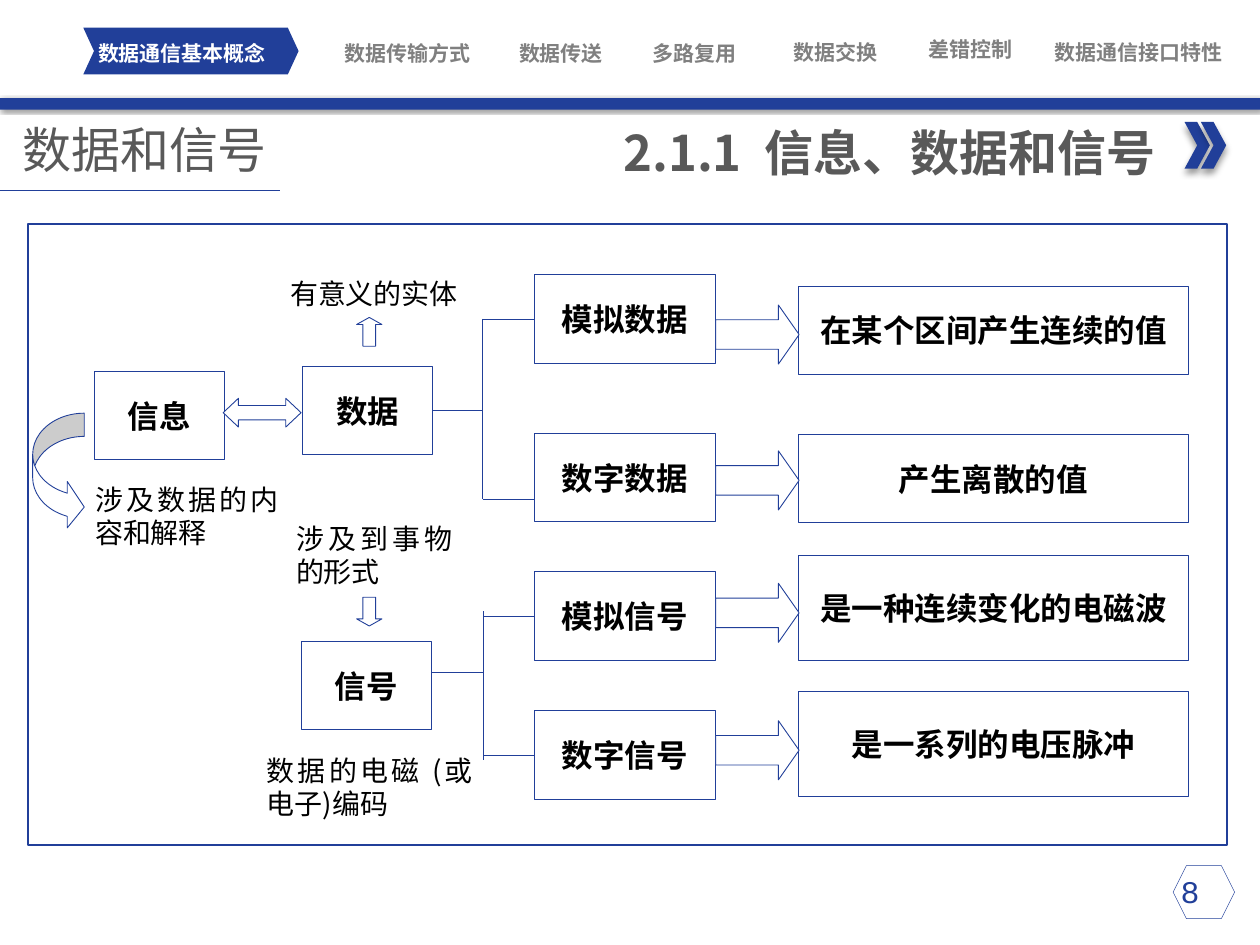
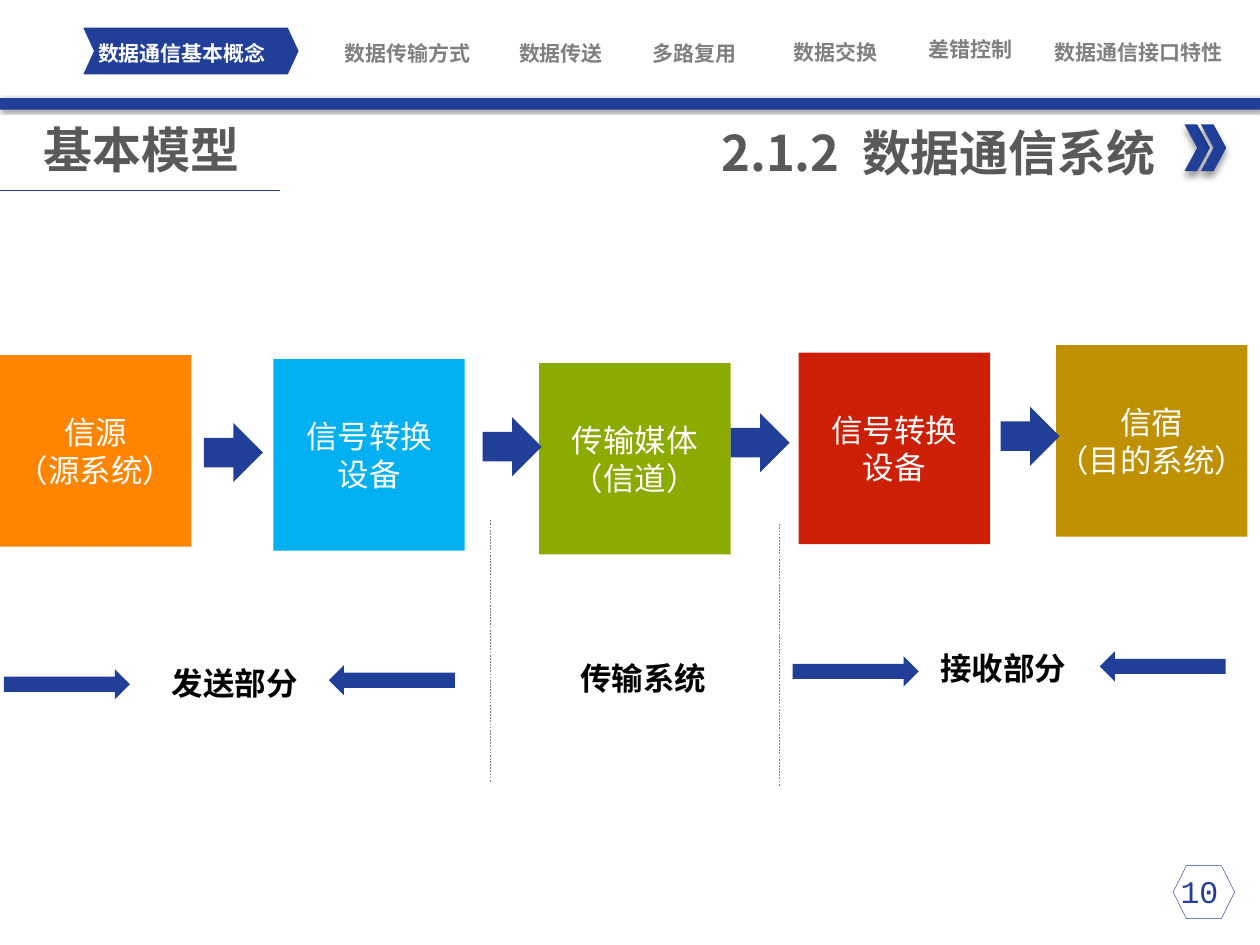
from lxml import etree
from pptx import Presentation
from pptx.dml.color import RGBColor
from pptx.enum import dml, shapes as sh, text as tx
from pptx.oxml.ns import qn
from pptx.util import Cm, Pt

BLUE = RGBColor(0x21, 0x3F, 0x99)
DARK = RGBColor(0x59, 0x59, 0x59)
GREY = RGBColor(0x80, 0x80, 0x80)
BLACK = RGBColor(0, 0, 0)
WHITE = RGBColor(0xFF, 0xFF, 0xFF)
ORANGE = RGBColor(0xFF, 0x85, 0x00)
SKY = RGBColor(0x00, 0xB0, 0xF0)
GREEN = RGBColor(0x8B, 0xAB, 0x00)
RED = RGBColor(0xCD, 0x1F, 0x06)
GOLD = RGBColor(0xBF, 0x90, 0x00)
CJK, NAV_FONT, NUMBER_FONT = "Noto Sans CJK SC", "Roboto Condensed", "Courier New"

AUTO = sh.MSO_SHAPE
LEFT, CENTER, RIGHT, JUSTIFY = (tx.PP_ALIGN.LEFT, tx.PP_ALIGN.CENTER,
                                tx.PP_ALIGN.RIGHT, tx.PP_ALIGN.JUSTIFY)

# All positions and sizes are in centimetres.
NAV = [  # label, left, top, width
    ("数据通信基本概念", 1.83, 0.81, 3.68),
    ("数据传输方式", 6.38, 0.81, 3.68),
    ("数据传送", 9.47, 0.81, 3.68),
    ("多路复用", 12.17, 0.81, 3.68),
    ("数据交换", 15.01, 0.79, 3.68),
    ("差错控制", 17.73, 0.74, 3.68),
    ("数据通信接口特性", 20.52, 0.79, 4.88),
]

ROOTS = {"信息": (1.9, 7.49), "数据": (6.1, 7.39), "信号": (6.07, 12.93)}
KINDS = [  # name, top, arrow top, meaning, meaning top, meaning height
    ("模拟数据", 5.54, 6.15, "在某个区间产生连续的值", 5.77, 1.78),
    ("数字数据", 8.74, 9.09, "产生离散的值", 8.76, 1.78),
    ("模拟信号", 11.53, 11.76, "是一种连续变化的电磁波", 11.2, 2.11),
    ("数字信号", 14.33, 14.53, "是一系列的电压脉冲", 13.94, 2.11),
]
FORKS = [  # root, root line height, trunk x, {kind: branch height}
    ("数据", 8.28, 9.73, {"模拟数据": 6.43, "数字数据": 10.06}),
    ("信号", 13.56, 9.75, {"模拟信号": 12.32, "数字信号": 15.32}),
]
NOTES = [
    ("有意义的实体", 5.6, 5.03, 4.6, 1.78),
    ("涉及数据的内容和解释", 1.67, 8.92, 4.19, 2.95),
    ("涉及到事物的形式", 5.72, 10.08, 3.66, 2.21),
    ("数据的电磁 (或电子)编码", 5.13, 14.76, 4.65, 2.21),
]
HOLLOW_ARROWS = [
    (AUTO.LEFT_RIGHT_ARROW, 4.5, 8.03, 1.57, 0.58, (0.5, 0.53)),
    (AUTO.UP_ARROW, 7.19, 6.4, 0.51, 0.58, (0.5, 0.28)),
    (AUTO.DOWN_ARROW, 7.19, 12.04, 0.51, 0.58, (0.5, 0.28)),
    (AUTO.CURVED_RIGHT_ARROW, 0.66, 8.33, 1.04, 2.36, (0.45, 0.9, 0.33)),
]

STAGES = [  # text, colour, left, top
    ("信源\n（源系统）", ORANGE, 0, 7.16),
    ("信号转换\n设备", SKY, 5.51, 7.24),
    ("传输媒体\n（信道）", GREEN, 10.87, 7.32),
    ("信号转换\n设备", RED, 16.1, 7.11),
    ("信宿\n（目的系统）", GOLD, 21.29, 6.96),
]
STAGE_ARROWS = [(4.11, 8.53), (9.73, 8.41), (14.73, 8.33), (20.17, 8.2)]
DIVIDERS = [(9.88, 10.49), (15.7, 10.57)]
PARTS = [("发送部分", 3.2, 13.26), ("传输系统", 11.43, 13.16), ("接收部分", 18.69, 12.95)]
PART_ARROWS = [
    (AUTO.RIGHT_ARROW, 0.08, 13.49), (AUTO.LEFT_ARROW, 6.63, 13.41),
    (AUTO.RIGHT_ARROW, 15.98, 13.23), (AUTO.LEFT_ARROW, 22.17, 13.13),
]


def write(sp, content, size, color, bold=False, align=CENTER, font=CJK, margin=None,
          anchor=tx.MSO_ANCHOR.MIDDLE):
    tf = sp.text_frame
    tf.text = content
    tf.word_wrap = True
    tf.auto_size = tx.MSO_AUTO_SIZE.NONE
    tf.vertical_anchor = anchor
    if margin is not None:
        tf.margin_left = tf.margin_right = tf.margin_top = tf.margin_bottom = Cm(margin)
    for p in tf.paragraphs:
        p.alignment = align
        p.line_spacing = Pt(size * 1.2)
        for r in p.runs:
            f = r.font
            f.name, f.size, f.bold = font, Pt(size), bold
            f.color.rgb = color
            ea = etree.SubElement(r._r.get_or_add_rPr(), qn("a:ea"))
            ea.set("typeface", CJK)
    return sp


def label(s, content, x, y, w, h, *style, **options):
    return write(s.shapes.add_textbox(Cm(x), Cm(y), Cm(w), Cm(h)), content, *style, **options)


def shape(shapes, kind, x, y, w, h, fill=None, line=None, weight=0.5, adj=()):
    sp = shapes.add_shape(kind, Cm(x), Cm(y), Cm(w), Cm(h))
    sp.shadow.inherit = False
    for i, value in enumerate(adj):
        sp.adjustments[i] = value
    if fill is None:
        sp.fill.background()
    else:
        sp.fill.solid()
        sp.fill.fore_color.rgb = fill
    if line is None:
        sp.line.fill.background()
    else:
        sp.line.color.rgb = line
        sp.line.width = Pt(weight)
    return sp


def cast_shadow(sp, blur, distance, angle):
    effects = sp._element.spPr.find(qn("a:effectLst"))
    outer = etree.SubElement(effects, qn("a:outerShdw"), blurRad=str(Pt(blur)),
                             dist=str(Pt(distance)), dir=str(angle * 60000))
    color = etree.SubElement(outer, qn("a:srgbClr"), val=str(BLACK))
    etree.SubElement(color, qn("a:alpha"), val="40000")


def line(s, x1, y1, x2, y2, color=BLUE, weight=0.5):
    c = s.shapes.add_connector(sh.MSO_CONNECTOR.STRAIGHT, Cm(x1), Cm(y1), Cm(x2), Cm(y2))
    etree.SubElement(c._element.spPr, qn("a:effectLst"))
    c.line.color.rgb = color
    c.line.width = Pt(weight)
    return c


def at_side_middle(box, y):
    return abs(box.top + box.height // 2 - Cm(y)) < Cm(0.15)


def text_box(s, content, x, y, w, h):
    """Outlined rectangle with a bold centred text."""
    return write(shape(s.shapes, AUTO.RECTANGLE, x, y, w, h, line=BLUE), content, 18, BLACK, True)


def add_slide(prs, number, section, title, chevron_top):
    """Slide with title, navigation, band and page number."""
    s = prs.slides.add_slide(prs.slide_layouts[5])
    sp = s.shapes.title
    sp.left, sp.top, sp.width, sp.height = Cm(1.93), Cm(2.34), Cm(21.62), Cm(1.45)
    write(sp, f"{section} {title}", 28, DARK, True, RIGHT)
    p = sp.text_frame.paragraphs[0]
    r = p.runs[0]
    r.text = section
    for part, spacing in ((" ", "640"), (title, "0")):
        copy_r = p.add_run()
        copy_r.text = part
        rPr = copy_r._r.get_or_add_rPr()
        copy_r.font.name, copy_r.font.size, copy_r.font.bold = CJK, Pt(28), True
        copy_r.font.color.rgb = DARK
        etree.SubElement(rPr, qn("a:ea")).set("typeface", CJK)
        rPr.set("spc", spacing)

    shape(s.shapes, AUTO.HEXAGON, 23.65, 17.45, 1.24, 1.07, line=BLUE, weight=0.25)
    label(s, number, 23.55, 17.45, 1.5, 1.02, 18, BLUE, align=LEFT, font=NUMBER_FONT)
    cast_shadow(shape(s.shapes, AUTO.RECTANGLE, 0, 1.98, 25.4, 0.23, BLUE), 2, 1, 45)
    group = s.shapes.add_group_shape()
    for x in (23.88, 24.21):
        cast_shadow(shape(group.shapes, AUTO.CHEVRON, x, chevron_top, 0.51, 0.94, BLUE), 4, 3, 90)
    shape(s.shapes, AUTO.CHEVRON, 1.68, 0.56, 4.34, 0.94, BLUE, adj=(0.23,))
    for i, (name, x, y, w) in enumerate(NAV):
        label(s, name, x, y, w, 0.51, 12, GREY if i else WHITE, True, font=NAV_FONT, margin=0)
    line(s, 0, 3.84, 5.64, 3.84)
    return s


def build_concepts(prs):
    s = add_slide(prs, "8", "2.1.1", "信息、数据和信号", 2.46)
    label(s, "数据和信号", 0.2, 2.39, 6.38, 1.24, 28, DARK, align=LEFT)
    boxes = {name: text_box(s, name, x, y, 2.62, 1.78) for name, (x, y) in ROOTS.items()}
    for name, y, arrow_y, meaning, meaning_y, h in KINDS:
        boxes[name] = text_box(s, name, 10.77, y, 3.66, 1.78)
        text_box(s, meaning, 16.1, meaning_y, 7.85, h)
        shape(s.shapes, AUTO.RIGHT_ARROW, 14.43, arrow_y, 1.68, 1.19, WHITE, BLUE,
              adj=(0.5, 0.35))
    for root, root_y, trunk, branches in FORKS:
        c = line(s, 8.69, root_y, trunk, root_y)
        if at_side_middle(boxes[root], root_y):
            c.begin_connect(boxes[root], 3)
        line(s, trunk, min(branches.values()), trunk, max(branches.values()))
        for name, y in branches.items():
            c = line(s, trunk, y, 10.77, y)
            if at_side_middle(boxes[name], y):
                c.end_connect(boxes[name], 1)
                c.begin_y = c.end_y
    for note in NOTES:
        label(s, *note, 16, BLACK, align=JUSTIFY)
    for kind, x, y, w, h, adj in HOLLOW_ARROWS:
        shape(s.shapes, kind, x, y, w, h, WHITE, BLUE, adj=adj)
    shape(s.shapes, AUTO.RECTANGLE, 0.56, 4.52, 24.18, 12.52, line=BLUE, weight=1)


def build_model(prs):
    s = add_slide(prs, "10", "2.1.2", "数据通信系统", 2.51)
    label(s, "基本模型", 0.63, 2.28, 8.9, 1.45, 28, DARK, True, LEFT)
    for content, color, x, y in STAGES:
        sp = shape(s.shapes, AUTO.RECTANGLE, x, y, 3.86, 3.86, color)
        write(sp, content, 18, WHITE, margin=0)
    for x, y in STAGE_ARROWS:
        shape(s.shapes, AUTO.RIGHT_ARROW, x, y, 1.19, 1.19, BLUE)
    for x, y in DIVIDERS:
        line(s, x, y, x, y + 5.27, GREY, 0.25).line.dash_style = dml.MSO_LINE.DASH
    for kind, x, y in PART_ARROWS:
        shape(s.shapes, kind, x, y, 2.54, 0.61, BLUE)
    for name, x, y in PARTS:
        label(s, name, x, y, 3.07, 1.02, 18, BLACK, True)


def main():
    prs = Presentation()
    prs.slide_width, prs.slide_height = Cm(25.4), Cm(19.05)
    build_concepts(prs)
    build_model(prs)
    prs.save("out.pptx")


if __name__ == "__main__":
    main()
